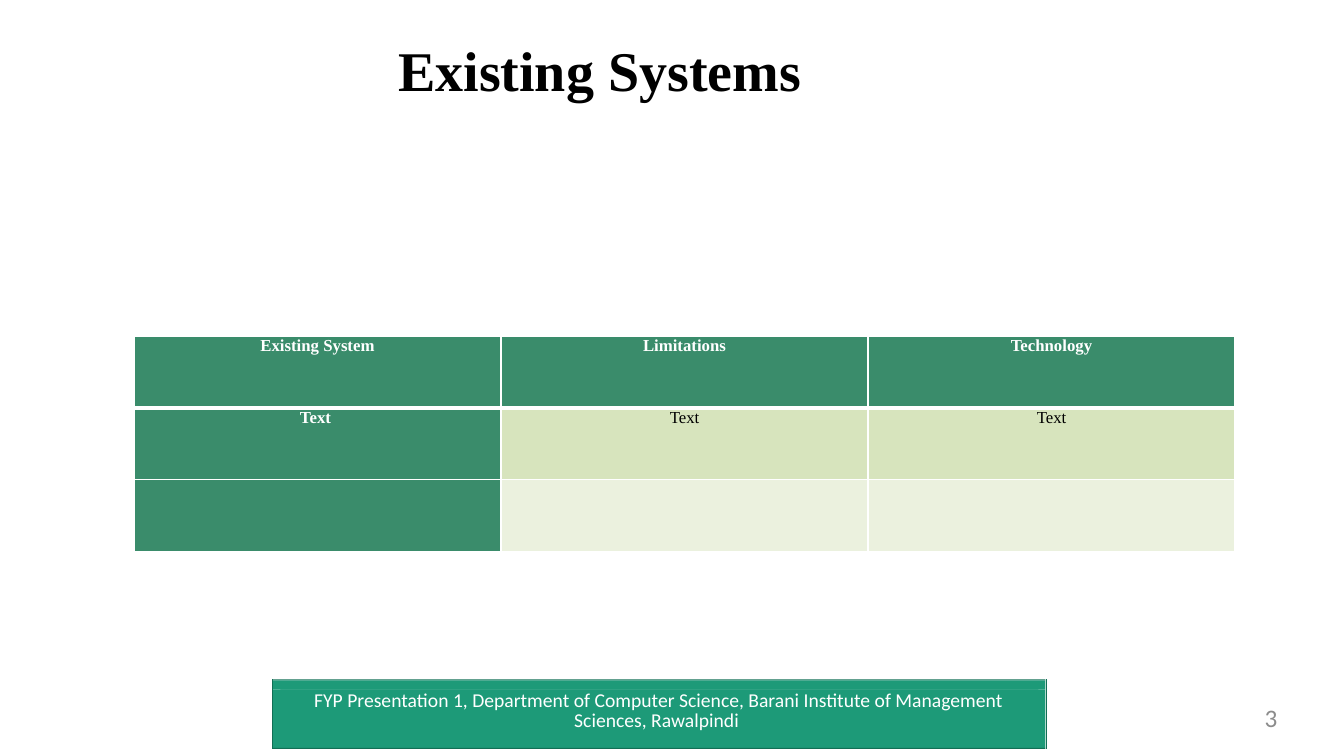
from lxml.etree import SubElement
from pptx import Presentation
from pptx.dml.color import RGBColor
from pptx.enum.shapes import MSO_CONNECTOR, MSO_SHAPE
from pptx.enum.text import MSO_ANCHOR, PP_ALIGN
from pptx.oxml.ns import qn
from pptx.util import Inches, Pt

TITLE = "Existing Systems"
ROWS = [
    ("Existing System", "Limitations", "Technology"),
    ("Text ", "Text", "Text"),
    ("", "", ""),
]
FOOTER = ("FYP Presentation 1, Department of Computer Science, "
          "Barani Institute of Management Sciences, Rawalpindi ")
PAGE = "3"

COLORS = {
    "black": "000000", "white": "FFFFFF", "gray": "8C8C8C",
    "head": "3A8C6B", "band1": "D7E4BD", "band2": "EBF1DE",
    "footer": "1D9A78", "footer_edge": "126F55",
}
COL_W, ROW_H = 3.64, 0.71

# Footer banner: left, top, width, height, colour
BANNER = [
    (2.7, 6.84, 7.67, 0.58, "footer"),
    (2.78, 6.84, 7.52, 0.24, "footer"),
    (2.78, 7.08, 7.52, 0.24, "footer"),
    (2.7, 6.74, 7.67, 0.01, "footer_edge"),
    (2.7, 6.75, 7.67, 0.09, "footer"),
    (2.7, 7.42, 7.67, 0.01, "footer_edge"),
]
BANNER_SIDES, BANNER_TOP, BANNER_BOTTOM = (2.7, 10.38), 6.74, 7.43


def rgb(name):
    return RGBColor.from_string(COLORS[name])


def format_paragraph(p, text, font, size, color, bold=False, align=PP_ALIGN.LEFT):
    p.text = text
    p.alignment = align
    p.font.name, p.font.size, p.font.bold = font, Pt(size), bold
    p.font.color.rgb = rgb(color)


def clear_insets(tf):
    tf.word_wrap = True
    tf.vertical_anchor = MSO_ANCHOR.TOP
    tf.margin_left = tf.margin_top = tf.margin_right = tf.margin_bottom = 0


def set_borders(cell, widths):
    """Draw white borders; widths in points by side."""
    tcPr = cell._tc.get_or_add_tcPr()
    for side, width in widths.items():
        ln = SubElement(tcPr, qn(f"a:ln{side}"), w=str(Pt(width)))
        fill = SubElement(ln, qn("a:solidFill"))
        SubElement(fill, qn("a:srgbClr"), val=COLORS["white"])


def add_title(s):
    title = s.shapes.title
    title.left, title.top = Inches(3.94), Inches(0.33)
    title.width, title.height = Inches(8.75), Inches(1.36)
    tf = title.text_frame
    clear_insets(tf)
    tf.margin_left, tf.margin_top = Inches(0.01), Inches(0.02)
    format_paragraph(tf.paragraphs[0], TITLE, "Times New Roman", 40, "black", bold=True)


def add_systems_table(s):
    n_rows, n_cols = len(ROWS), len(ROWS[0])
    table = s.shapes.add_table(n_rows, n_cols, Inches(1.33), Inches(3.34),
                               Inches(COL_W * n_cols), Inches(ROW_H * n_rows)).table
    table.first_col = True
    for col in table.columns:
        col.width = Inches(COL_W)
    for i, row in enumerate(ROWS):
        table.rows[i].height = Inches(ROW_H)
        for j, text in enumerate(row):
            cell = table.cell(i, j)
            is_head = i == 0 or j == 0
            set_borders(cell, {"L": 1, "R": 1, "T": 3 if i == 1 else 1,
                               "B": 3 if i == 0 else 1})
            cell.fill.solid()
            cell.fill.fore_color.rgb = rgb("head" if is_head else f"band{i}")
            cell.margin_left = cell.margin_right = Inches(0.07)
            cell.margin_top = cell.margin_bottom = 0
            format_paragraph(cell.text_frame.paragraphs[0], text, "Times New Roman", 12,
                             "white" if is_head else "black", is_head, PP_ALIGN.CENTER)


def add_banner(s):
    for *box, color in BANNER:
        bar = s.shapes.add_shape(MSO_SHAPE.RECTANGLE, *map(Inches, box))
        bar.shadow.inherit = False
        bar.fill.solid()
        bar.fill.fore_color.rgb = rgb(color)
        bar.line.fill.background()
    for x in BANNER_SIDES:
        edge = s.shapes.add_connector(MSO_CONNECTOR.STRAIGHT, Inches(x), Inches(BANNER_TOP),
                                      Inches(x), Inches(BANNER_BOTTOM))
        edge.line.color.rgb = rgb("footer_edge")
        edge.line.width = Pt(0.96)
        SubElement(edge._element.spPr, qn("a:effectLst"))


def add_label(s, box, text, size, color, align):
    tf = s.shapes.add_textbox(*map(Inches, box)).text_frame
    clear_insets(tf)
    p = tf.paragraphs[0]
    format_paragraph(p, text, "Calibri", size, color, align=align)
    return p


def main():
    prs = Presentation()
    prs.slide_width, prs.slide_height = Inches(13.33), Inches(7.5)
    s = prs.slides.add_slide(prs.slide_layouts[5])
    add_banner(s)
    add_title(s)
    add_label(s, (9.6, 6.97, 3.07, 0.38), PAGE, 18, "gray", PP_ALIGN.RIGHT)
    footer = add_label(s, (3.1, 6.86, 6.87, 0.39), FOOTER, 14, "white", PP_ALIGN.CENTER)
    footer.line_spacing = Pt(14.3)
    add_systems_table(s)
    prs.save("out.pptx")


if __name__ == "__main__":
    main()
